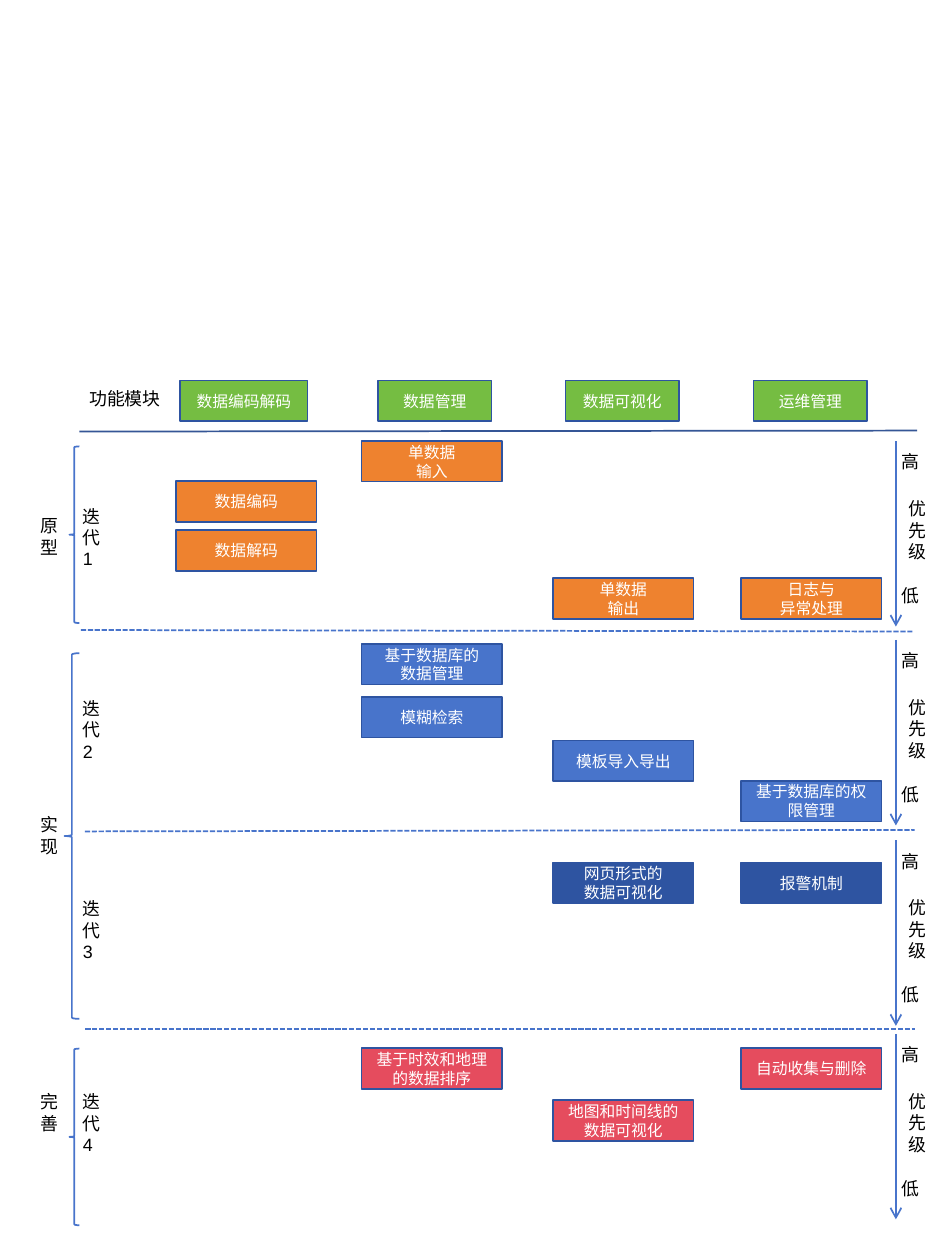
from lxml import etree
from pptx import Presentation
from pptx.dml.color import RGBColor
from pptx.enum.dml import MSO_LINE
from pptx.enum.shapes import MSO_CONNECTOR, MSO_SHAPE
from pptx.enum.text import MSO_ANCHOR, MSO_AUTO_SIZE, PP_ALIGN
from pptx.oxml.ns import qn
from pptx.util import Cm, Pt

STRAIGHT = MSO_CONNECTOR.STRAIGHT
RECTANGLE = MSO_SHAPE.RECTANGLE
LEFT_BRACE = MSO_SHAPE.LEFT_BRACE
DASHED = MSO_LINE.SQUARE_DOT
MIDDLE = MSO_ANCHOR.MIDDLE
GROW = MSO_AUTO_SIZE.SHAPE_TO_FIT_TEXT
LEFT, CENTER, JUSTIFY = PP_ALIGN.LEFT, PP_ALIGN.CENTER, PP_ALIGN.JUSTIFY

FONT = "Arial"
GREEN, ORANGE, BLUE, NAVY, RED = "75BD42", "EE822F", "4874CB", "2E54A1", "E54C5E"
HEADER_LINE, BLACK, WHITE = "355696", "000000", "FFFFFF"

# All positions are in centimetres
BOX_HEIGHT = 0.82
MODULE_TOP = 7.67
FEATURE_WIDTH = 2.83
LABEL_WIDTH = 0.74

# Module name, left, width
MODULES = [
    ("数据编码解码", 3.63, 2.57),
    ("数据管理", 7.62, 2.29),
    ("数据可视化", 11.4, 2.29),
    ("运维管理", 15.19, 2.29),
]
FEATURE_LEFTS = [3.55, 7.29, 11.15, 14.94]

# Colour of each iteration, with (column, top, text) of its features
FEATURES = [
    (ORANGE, [(0, 9.7, "数据编码"), (0, 10.69, "数据解码"), (1, 8.89, "单数据\n输入"),
              (2, 11.66, "单数据\n输出"), (3, 11.66, "日志与\n异常处理")]),
    (BLUE, [(1, 12.98, "基于数据库的\n数据管理"), (1, 14.05, "模糊检索"),
            (2, 14.93, "模板导入导出"), (3, 15.74, "基于数据库的权限管理")]),
    (NAVY, [(2, 17.39, "网页形式的\n数据可视化"), (3, 17.39, "报警机制")]),
    (RED, [(1, 21.13, "基于时效和地理的数据排序"), (2, 22.18, "地图和时间线的数据可视化"),
           (3, 21.13, "自动收集与删除")]),
]

# Stage name, label top, brace left, top, width, height
STAGES = [
    ("原型", 10.26, 1.4, 9.0, 0.2, 3.56),
    ("实现", 16.28, 1.3, 13.17, 0.3, 7.37),
    ("完善", 21.87, 1.4, 21.14, 0.2, 3.56),
]
ITERATION_TOPS = [10.06, 13.94, 17.98, 21.87]
PRIORITY_TOPS = [8.89, 12.9, 16.94, 20.84]
# Start and end of each divider between iterations
DIVIDERS = [
    (1.63, 12.7, 18.41, 12.73),
    (1.71, 16.76, 18.44, 16.73),
    (1.72, 20.75, 18.44, 20.75),
]


def color(value):
    return RGBColor.from_string(value)


def write(frame, text, size, text_color, alignment):
    frame.word_wrap = True
    for index, line in enumerate(text.split("\n")):
        para = frame.paragraphs[0] if index == 0 else frame.add_paragraph()
        para.alignment = alignment
        span = para.add_run()
        span.text = line
        span.font.name = FONT
        span.font.size = Pt(size)
        span.font.color.rgb = color(text_color)


def add_box(page, text, left, top, width, fill):
    box = page.shapes.add_shape(RECTANGLE, Cm(left), Cm(top), Cm(width), Cm(BOX_HEIGHT))
    box.shadow.inherit = False
    box.fill.solid()
    box.fill.fore_color.rgb = color(fill)
    box.line.color.rgb = color(NAVY)
    box.line.width = Pt(1)
    box.text_frame.vertical_anchor = MIDDLE
    write(box.text_frame, text, 9, WHITE, CENTER)


def add_vertical_label(parent, text, left, top):
    """The narrow width puts one character on each line."""
    height = 0.25 + 0.43 * len(text)
    label = parent.shapes.add_textbox(Cm(left), Cm(top), Cm(LABEL_WIDTH), Cm(height))
    write(label.text_frame, text, 10.2, BLACK, JUSTIFY)
    label.text_frame.auto_size = GROW


def add_line(parent, x1, y1, x2, y2, line_color=BLUE, dash=None, arrow=False):
    line = parent.shapes.add_connector(STRAIGHT, Cm(x1), Cm(y1), Cm(x2), Cm(y2))
    line.line.color.rgb = color(line_color)
    line.line.width = Pt(1)
    if dash is not None:
        line.line.dash_style = dash
    if arrow:
        etree.SubElement(line.line._get_or_add_ln(), qn("a:tailEnd"), type="arrow")
    etree.SubElement(line._element.spPr, qn("a:effectLst"))


def add_brace(page, left, top, width, height):
    brace = page.shapes.add_shape(LEFT_BRACE, Cm(left), Cm(top), Cm(width), Cm(height))
    brace.shadow.inherit = False
    brace.fill.background()
    brace.line.color.rgb = color(BLUE)
    brace.line.width = Pt(1)


def add_priority_scale(page, top):
    scale = page.shapes.add_group_shape()
    add_line(scale, 18.06, top, 18.06, top + 3.74, arrow=True)
    add_vertical_label(scale, "优先级", 18.06, top + 1.02)
    add_vertical_label(scale, "高", 17.93, top + 0.08)
    add_vertical_label(scale, "低", 17.93, top + 2.77)


def main():
    deck = Presentation()
    deck.slide_width, deck.slide_height = Cm(19.05), Cm(25.4)
    page = deck.slides.add_slide(deck.slide_layouts[6])

    # Header row of modules
    heading = page.shapes.add_textbox(Cm(1.55), Cm(7.7), Cm(2.26), Cm(0.94))
    write(heading.text_frame, "功能模块", 10.2, BLACK, LEFT)
    for name, left, width in MODULES:
        add_box(page, name, left, MODULE_TOP, width, GREEN)
    add_line(page, 1.6, 8.7, 18.49, 8.68, HEADER_LINE)

    # Features of each iteration
    for fill, features in FEATURES:
        for column, top, text in features:
            add_box(page, text, FEATURE_LEFTS[column], top, FEATURE_WIDTH, fill)
    for ends in DIVIDERS:
        add_line(page, *ends, dash=DASHED)

    # Stages and iterations on the left
    for name, label_top, *brace in STAGES:
        add_vertical_label(page, name, 0.56, label_top)
        add_brace(page, *brace)
    for number, top in enumerate(ITERATION_TOPS, start=1):
        add_vertical_label(page, f"迭代{number}", 1.42, top)

    # Priority scales on the right
    for top in PRIORITY_TOPS:
        add_priority_scale(page, top)

    deck.save("out.pptx")


if __name__ == "__main__":
    main()
